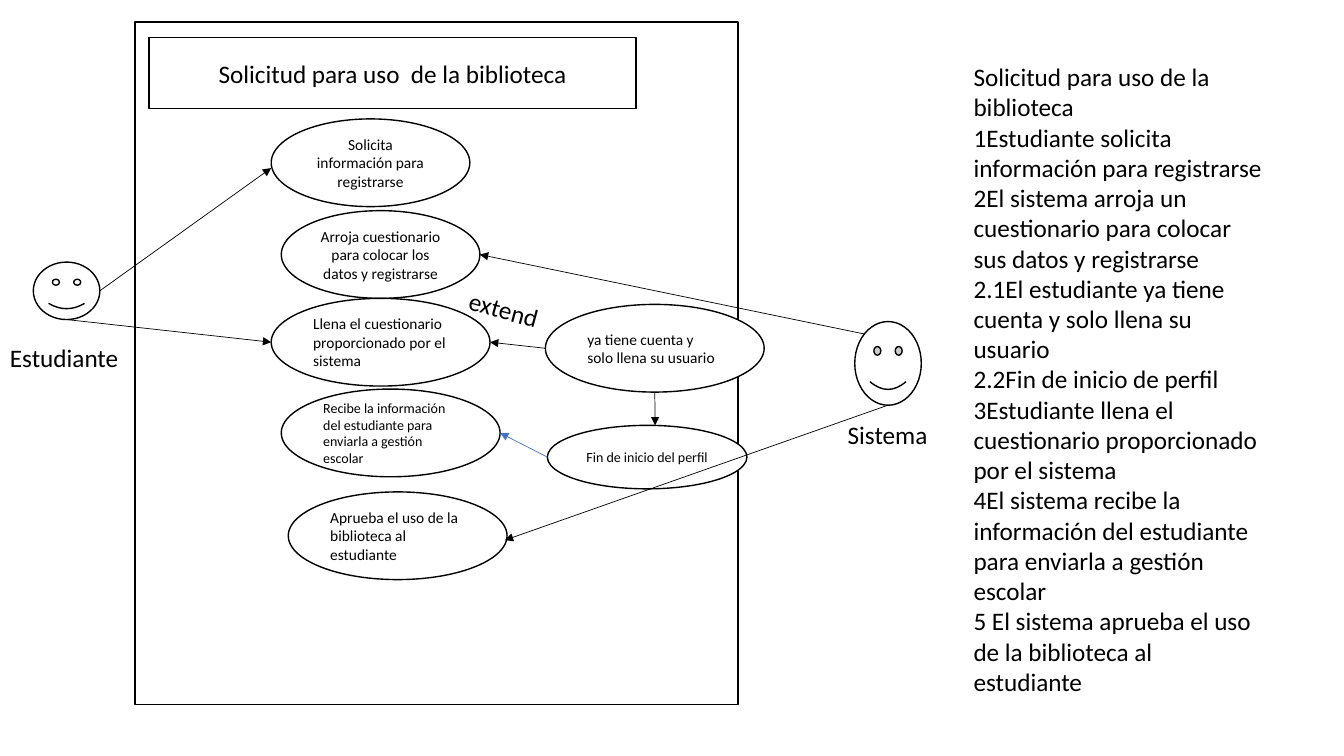
from lxml import etree
from pptx import Presentation, util as u
from pptx.dml.color import RGBColor
from pptx.enum import shapes, text
from pptx.oxml.ns import qn

BLACK = RGBColor(0x00, 0x00, 0x00)
WHITE = RGBColor(0xFF, 0xFF, 0xFF)
BLUE = RGBColor(0x44, 0x72, 0xC4)
FONT = "Calibri"
WIDTH, HEIGHT = u.Inches(13.33), u.Inches(7.5)
CASE_HEIGHT, LABEL_HEIGHT = 11.6, 5.33
NARROW, WIDE = 14.78, 16.28
LEFT, CENTER = text.PP_ALIGN.LEFT, text.PP_ALIGN.CENTER

STEPS = [
    "Solicitud para uso de la biblioteca",
    "1Estudiante solicita información para registrarse",
    "2El sistema arroja un cuestionario para colocar sus datos y registrarse",
    "2.1El estudiante ya tiene cuenta y solo llena su usuario",
    "2.2Fin de inicio de perfil",
    "3Estudiante llena el cuestionario proporcionado por el sistema",
    "4El sistema recibe la información del estudiante para enviarla a gestión escolar",
    "5 El sistema aprueba el uso de la biblioteca al estudiante",
]

CASES = {
    "solicita": (20.18, 15.73, NARROW, CASE_HEIGHT, 11, CENTER,
                 "Solicita información para registrarse"),
    "arroja": (20.93, 27.87, NARROW, CASE_HEIGHT, 11, CENTER,
               "Arroja cuestionario para colocar los datos y registrarse"),
    "llena": (20.18, 39.47, WIDE, CASE_HEIGHT, 11, LEFT,
              "Llena el cuestionario proporcionado por el sistema"),
    "recibe": (20.93, 51.47, WIDE, CASE_HEIGHT, 10, LEFT,
               "Recibe la información del estudiante para enviarla a gestión escolar"),
    "cuenta": (40.58, 40.27, WIDE, CASE_HEIGHT, 11, LEFT,
               "ya tiene cuenta y solo llena su usuario"),
    "fin": (40.73, 56.27, 14.85, 8.4, 10, LEFT, "Fin de inicio del perfil"),
    "aprueba": (21.45, 65.07, WIDE, CASE_HEIGHT, 11, LEFT,
                "Aprueba el uso de la biblioteca al estudiante"),
}

ARROWS = [
    ("estudiante", (1, 0.5), "solicita", (0, 0.56), BLACK),
    ("sistema", (0.15, 0.15), "arroja", (1, 0.5), BLACK),
    ("estudiante", (0.5, 1), "llena", (0, 0.5), BLACK),
    ("cuenta", (0.5, 1), "fin", (0.54, 0), BLACK),
    ("sistema", (0.5, 1), "aprueba", (0.99, 0.55), BLACK),
    ("cuenta", (0, 0.5), "llena", (1, 0.5), BLACK),
    ("fin", (0, 0.5), "recibe", (1, 0.5), BLUE),
]


def place(left, top, width, height):
    """Turn percentages of the slide's size into lengths."""
    return [round(share * side / 100) for share, side in
            zip((left, top, width, height), (WIDTH, HEIGHT, WIDTH, HEIGHT))]


def write(shape, *lines, size=18, align=LEFT, anchor=text.MSO_ANCHOR.TOP):
    """Fill a shape with one formatted paragraph per line."""
    frame = shape.text_frame
    frame.word_wrap = True
    frame.vertical_anchor = anchor
    frame.text = "\n".join(lines)
    for paragraph in frame.paragraphs:
        paragraph.alignment = align
        font = paragraph.runs[0].font
        font.name, font.size = FONT, u.Pt(size)
        font.color.rgb = BLACK


def add_label(slide, box, *lines, rotation=0):
    """Add a text box that grows with its text."""
    label = slide.shapes.add_textbox(*place(*box))
    label.rotation = rotation
    write(label, *lines)
    label.text_frame.auto_size = text.MSO_AUTO_SIZE.SHAPE_TO_FIT_TEXT


def add_outline(slide, kind, box, filled=True):
    """Add a black-outlined preset shape, white or hollow."""
    shape = slide.shapes.add_shape(kind, *place(*box))
    shape.shadow.inherit = False
    if filled:
        shape.fill.solid()
        shape.fill.fore_color.rgb = WHITE
    else:
        shape.fill.background()
    shape.line.color.rgb = BLACK
    shape.line.width = u.Pt(1)
    return shape


def point_on(shape, across, down):
    """Return the point at the given shares of a shape's box."""
    return (round(shape.left + across * shape.width),
            round(shape.top + down * shape.height))


def add_arrow(slide, start, end, color):
    """Add a thin straight arrow between two points."""
    arrow = slide.shapes.add_connector(shapes.MSO_CONNECTOR.STRAIGHT, *start, *end)
    arrow.line.color.rgb = color
    arrow.line.width = u.Pt(0.5)
    etree.SubElement(arrow.line._get_or_add_ln(), qn("a:tailEnd"), type="triangle")
    etree.SubElement(arrow._element.spPr, qn("a:effectLst"))


def main():
    """Build the library use-case slide and save it."""
    presentation = Presentation()
    presentation.slide_width, presentation.slide_height = WIDTH, HEIGHT
    slide = presentation.slides.add_slide(presentation.slide_layouts[6])
    kinds = shapes.MSO_SHAPE

    add_label(slide, (71.7, 7.47, 23.03, 90.27), *STEPS)
    add_outline(slide, kinds.RECTANGLE, (10.05, 2.93, 44.85, 90.27))
    title = add_outline(slide, kinds.RECTANGLE, (11.1, 4.93, 36.23, 9.47))
    write(title, "Solicitud para uso  de la biblioteca", align=CENTER,
          anchor=text.MSO_ANCHOR.MIDDLE)

    nodes = {
        "estudiante": add_outline(slide, kinds.SMILEY_FACE,
                                  (2.48, 34.67, 4.95, 7.6), filled=False),
        "sistema": add_outline(slide, kinds.SMILEY_FACE, (63.6, 42.53, 4.95, 11.07)),
    }
    add_label(slide, (0, 44.67, 11.25, LABEL_HEIGHT), "Estudiante")
    add_label(slide, (62.33, 54.8, 8.25, LABEL_HEIGHT), "Sistema")

    for name, (*box, size, align, caption) in CASES.items():
        nodes[name] = add_outline(slide, kinds.OVAL, box)
        write(nodes[name], caption, size=size, align=align,
              anchor=text.MSO_ANCHOR.MIDDLE)
    add_label(slide, (34.13, 38.27, 6.9, LABEL_HEIGHT), "extend", rotation=15.3)

    for source, leaving, target, arriving, color in ARROWS:
        add_arrow(slide, point_on(nodes[source], *leaving),
                  point_on(nodes[target], *arriving), color)
    presentation.save("out.pptx")


if __name__ == "__main__":
    main()
